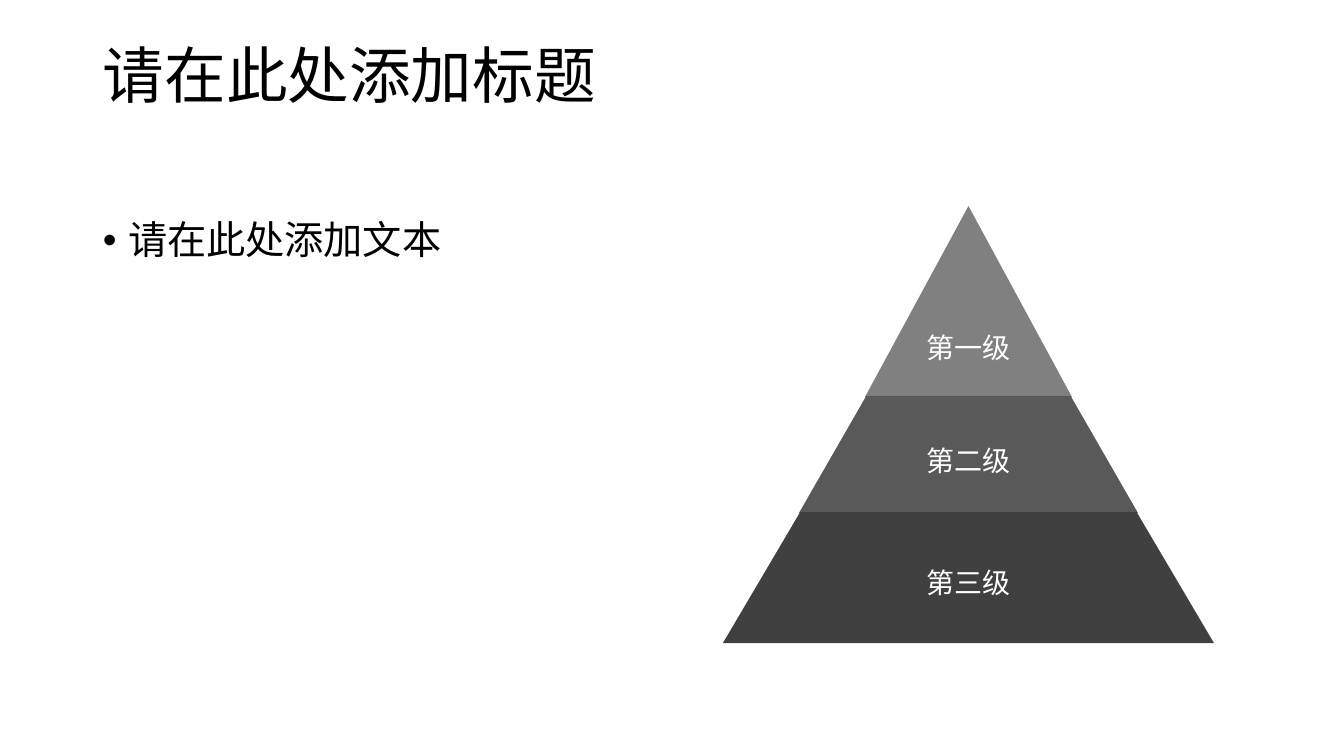
from pptx import Presentation, util as u
from pptx.dml.color import RGBColor
from pptx.enum import shapes, text
from pptx.oxml.ns import qn
from lxml import etree

PX = 914400 / 100.8
FONT = "Calibri"
BLACK = RGBColor(0x00, 0x00, 0x00)
WHITE = RGBColor(0xFF, 0xFF, 0xFF)
LIGHT = RGBColor(0x80, 0x80, 0x80)
MID = RGBColor(0x59, 0x59, 0x59)
DARK = RGBColor(0x40, 0x40, 0x40)

TITLE = "请在此处添加标题"
BODY = "请在此处添加文本"
TRIANGLE = shapes.MSO_SHAPE.ISOSCELES_TRIANGLE
TRAPEZOID = shapes.MSO_SHAPE.TRAPEZOID
# label, preset, top, width, height, slope adjustment, fill, wrap
LEVELS = [
    ("第一级", TRIANGLE, 206, 207, 191, None, LIGHT, False),
    ("第二级", TRAPEZOID, 396, 339, 117, 0.575, MID, True),
    ("第三级", TRAPEZOID, 512, 491, 131, 0.59, DARK, True),
]
PYRAMID_AXIS = 968.5


def px(*lengths):
    """Turn pixel lengths into EMU."""
    return [u.Emu(round(n * PX)) for n in lengths]


def write(sp, words, size, color, before=0, wrap=True):
    """Put one styled paragraph in a shape and return it."""
    tf = sp.text_frame
    tf.word_wrap = wrap
    p = tf.paragraphs[0]
    p.text = words
    p.line_spacing = 0.9
    p.space_before = u.Pt(before)
    p.font.size = u.Pt(size)
    p.font.name = FONT
    p.font.color.rgb = color
    return p


def add_bullet(p, indent):
    """Give a paragraph a round bullet with a hanging indent."""
    pPr = p._p.get_or_add_pPr()
    pPr.set("marL", str(indent))
    pPr.set("indent", str(-indent))
    font = etree.Element(qn("a:buFont"), typeface="Arial")
    mark = etree.Element(qn("a:buChar"), char="•")
    pPr.find(qn("a:defRPr")).addprevious(font)
    font.addnext(mark)


def add_level(s, label, preset, top, width, height, slope, fill, wrap):
    """Draw one pyramid level centred on the pyramid axis."""
    left = PYRAMID_AXIS - width / 2
    sp = s.shapes.add_shape(preset, *px(left, top, width, height))
    if slope is not None:
        sp.adjustments[0] = slope
    sp.shadow.inherit = False
    sp.fill.solid()
    sp.fill.fore_color.rgb = fill
    sp.line.fill.background()
    sp.text_frame.vertical_anchor = text.MSO_ANCHOR.MIDDLE
    p = write(sp, label, 20, WHITE, before=10, wrap=wrap)
    p.alignment = text.PP_ALIGN.CENTER


prs = Presentation()
prs.slide_width, prs.slide_height = px(1344, 756)
s = prs.slides.add_slide(prs.slide_layouts[6])

write(s.shapes.add_textbox(*px(93, 40, 1159, 146)), TITLE, 44, BLACK)
body = s.shapes.add_textbox(*px(93, 216, 531, 427))
add_bullet(write(body, BODY, 28, BLACK, before=10), u.Inches(0.25))
for level in LEVELS:
    add_level(s, *level)

prs.save("out.pptx")
